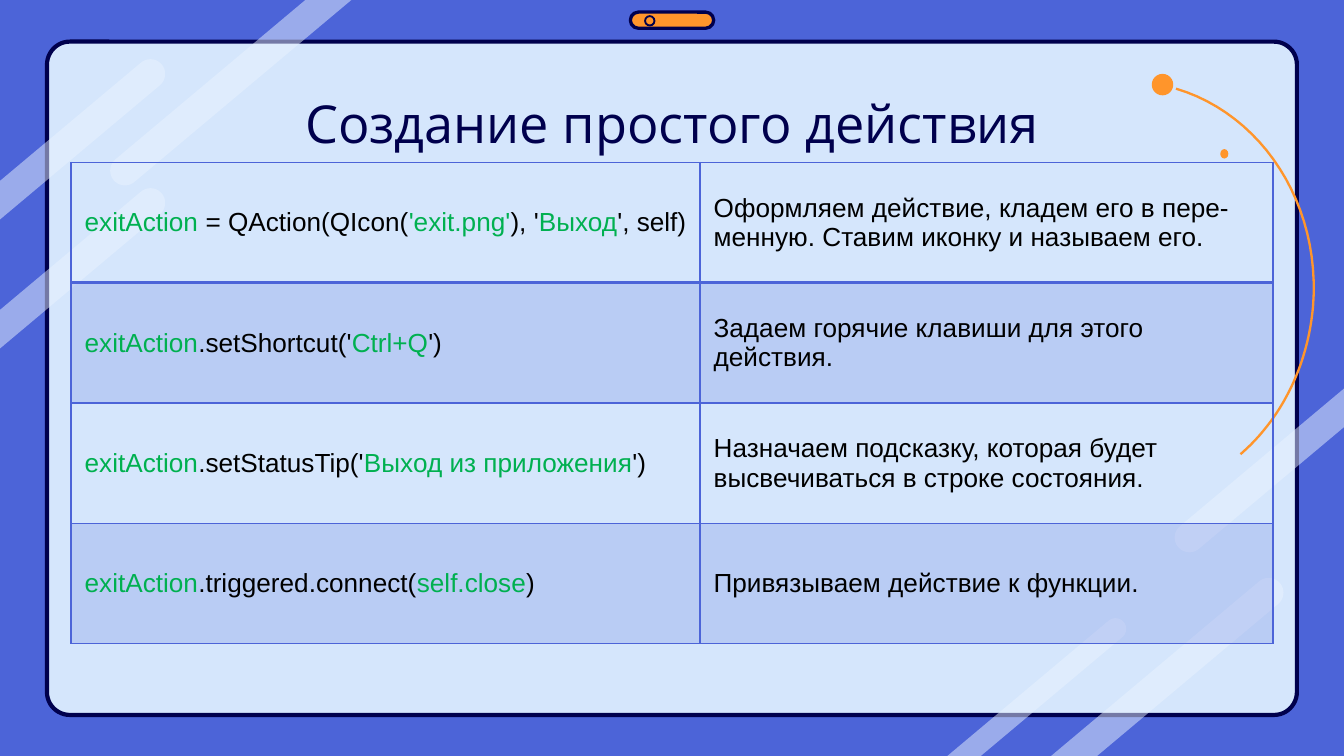
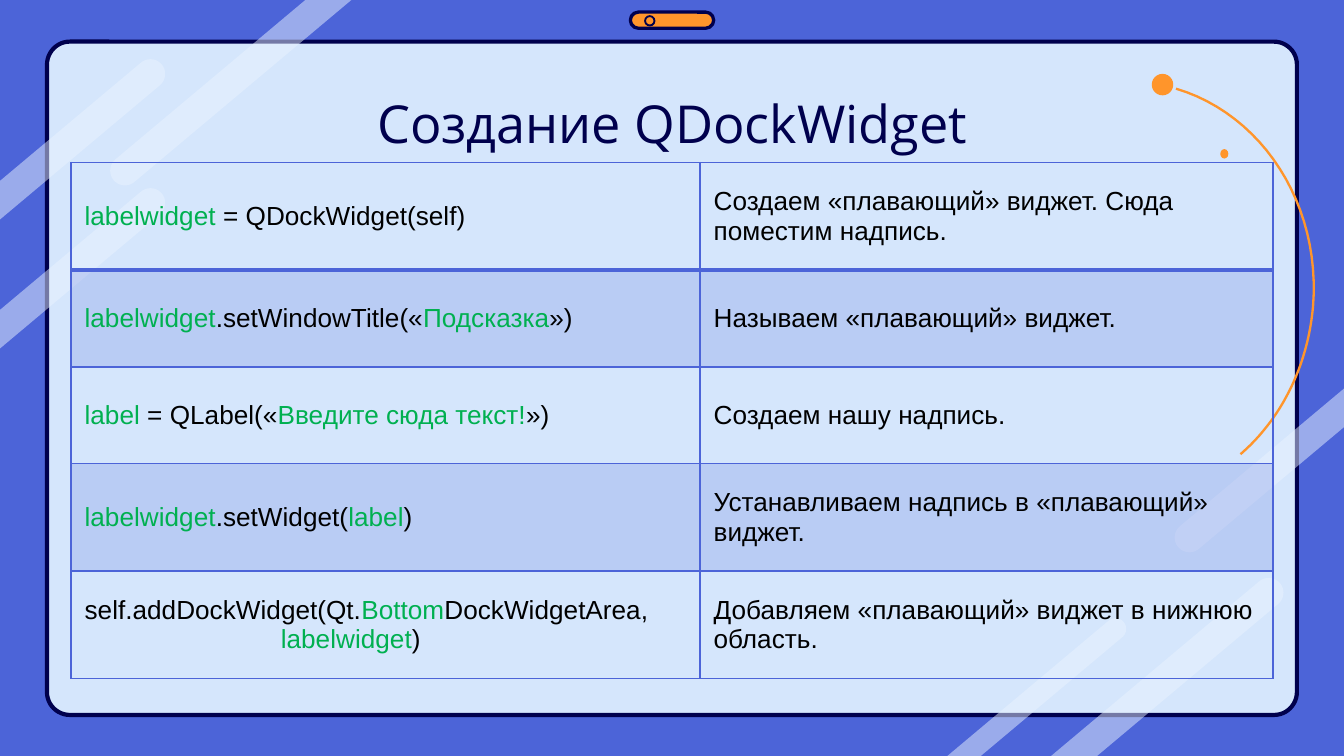
import math

import pptx
import pptx.dml.color
import pptx.enum.shapes
import pptx.enum.text
import pptx.oxml.ns
import pptx.util
from lxml import etree

EMU_PER_PX = 9144  # 100 px to the inch
COLORS = {
    "blue": "4C64D8",
    "panel": "D5E6FC",
    "navy": "00004D",
    "glare": "E9F3FF",
    "orange": "FF952B",
    "green": "00B050",
    "black": "000000",
}
TITLE_BOX = (79, 58, 842, 63)
PANEL_BOX = (35, 31, 930, 501)
TABLE_LEFT, TABLE_TOP = 53, 121
COLUMN_WIDTHS = (468, 426)
STREAK_ANGLE = 40
# Cap centre, radius, tip angle, then the slide edge where the streak ends
UP, DOWN = -STREAK_ANGLE, 180 - STREAK_ANGLE
STREAKS = [
    (944, 441, 11, UP, "y", 563),
    (830, 468, 8, UP, "y", 563),
    (93, 127, 11, DOWN, "y", 0),
    (112, 55, 11, UP, "x", 0),
    (112, 151, 11, UP, "x", 0),
    (885, 400, 11, DOWN, "x", 1000),
]
ORBIT = [
    ((875, 66), (939, 85), (983, 152), (977, 228)),
    ((977, 228), (973, 273), (953, 312), (923, 338)),
]

# Backticks enclose the highlighted parts of the code
ACTION_ROWS = [
    ("`exitAction` = QAction(QIcon(`'exit.png'`), '`Выход`', self)",
     "Оформляем действие, кладем его в пере-менную. Ставим иконку и называем его."),
    ("`exitAction`.setShortcut('`Ctrl+Q`')",
     "Задаем горячие клавиши для этого действия."),
    ("`exitAction`.setStatusTip('`Выход из приложения`')",
     "Назначаем подсказку, которая будет высвечиваться в строке состояния."),
    ("`exitAction`.triggered.connect(`self.close`)",
     "Привязываем действие к функции."),
]
DOCK_ROWS = [
    ("`labelwidget `= QDockWidget(self)",
     "Создаем «плавающий» виджет. Сюда поместим надпись."),
    ("`labelwidget`.setWindowTitle(«`Подсказка`»)",
     "Называем «плавающий» виджет."),
    ("`label` = QLabel(«`Введите сюда текст!`»)",
     "Создаем нашу надпись."),
    ("`labelwidget`.setWidget(`label`)",
     "Устанавливаем надпись в «плавающий» виджет."),
    ("self.addDockWidget(Qt.`Bottom`DockWidgetArea,\n`labelwidget`)",
     "Добавляем «плавающий» виджет в нижнюю область."),
]


def px(length):
    return round(length * EMU_PER_PX)


def rgb(name):
    return pptx.dml.color.RGBColor.from_string(COLORS[name])


def set_alpha(properties, percent):
    """Make the first colour found in a properties element translucent."""
    color = properties.find(".//" + pptx.oxml.ns.qn("a:srgbClr"))
    etree.SubElement(color, pptx.oxml.ns.qn("a:alpha"), val=str(percent * 1000))


def paint(shape, fill=None, line=None, width=1):
    shape.shadow.inherit = False
    if fill:
        shape.fill.solid()
        shape.fill.fore_color.rgb = rgb(fill)
    else:
        shape.fill.background()
    if line:
        shape.line.color.rgb = rgb(line)
        shape.line.width = pptx.util.Pt(width)
    else:
        shape.line.fill.background()


def add_preset(slide, kind, box, **look):
    shape = slide.shapes.add_shape(kind, *map(px, box))
    paint(shape, **look)
    return shape


def add_outline(slide, points, close, **look):
    (start_x, start_y), *rest = [(px(x), px(y)) for x, y in points]
    builder = slide.shapes.build_freeform(start_x, start_y)
    builder.add_line_segments(rest, close=close)
    shape = builder.convert_to_shape()
    paint(shape, **look)
    return shape


def add_streak(slide, x, y, radius, tip, edge_axis, edge):
    """Draw a round-tipped band of light running to an edge of the slide."""
    along_x, along_y = (f(math.radians(tip)) for f in (math.cos, math.sin))
    cap = [(x + radius * math.cos(math.radians(a)), y + radius * math.sin(math.radians(a)))
           for a in range(tip - 90, tip + 91, 10)]

    def reach_edge(point):
        px_, py_ = point
        steps = (edge - px_) / along_x if edge_axis == "x" else (edge - py_) / along_y
        return px_ + steps * along_x, py_ + steps * along_y

    points = [reach_edge(cap[0]), *cap, reach_edge(cap[-1])]
    streak = add_outline(slide, points, True, fill="glare")
    set_alpha(streak.element.spPr, 50)


def curve_points(controls, steps=24):
    """Sample a cubic Bezier curve."""
    for step in range(steps + 1):
        t = step / steps
        weights = ((1 - t) ** 3, 3 * t * (1 - t) ** 2, 3 * t * t * (1 - t), t ** 3)
        yield tuple(sum(w * c for w, c in zip(weights, axis)) for axis in zip(*controls))


def add_backdrop(slide):
    kinds = pptx.enum.shapes.MSO_SHAPE
    panel = add_preset(slide, kinds.ROUNDED_RECTANGLE, PANEL_BOX,
                       fill="panel", line="navy", width=2.25)
    panel.adjustments[0] = 0.034
    for streak in STREAKS:
        add_streak(slide, *streak)
    camera = add_preset(slide, kinds.ROUNDED_RECTANGLE, (469, 9, 62, 12),
                        fill="orange", line="navy", width=1.75)
    camera.adjustments[0] = 0.5
    add_preset(slide, kinds.OVAL, (480, 12, 7, 7), line="navy")
    orbit = [point for part in ORBIT for point in curve_points(part)]
    add_outline(slide, orbit, False, line="orange", width=1.25)
    for planet in ((908, 111, 6, 7), (857, 55, 16, 16)):
        add_preset(slide, kinds.OVAL, planet, fill="orange")


def move_backdrop_to_layout(slide, layout):
    backdrop = [shape for shape in slide.shapes if not shape.is_placeholder]
    for shape_id, shape in enumerate(backdrop, start=100):
        shape.element.nvSpPr.cNvPr.set("id", str(shape_id))
        layout.shapes.element.append(shape.element)


def prepare_layout(layout):
    layout.background.fill.solid()
    layout.background.fill.fore_color.rgb = rgb("blue")


def set_title(slide, text):
    title = slide.shapes.title
    title.left, title.top, title.width, title.height = map(px, TITLE_BOX)
    frame = title.text_frame
    frame.word_wrap = True
    frame.auto_size = pptx.enum.text.MSO_AUTO_SIZE.NONE
    frame.vertical_anchor = pptx.enum.text.MSO_ANCHOR.TOP
    frame.margin_left = frame.margin_right = frame.margin_top = frame.margin_bottom = px(10)
    frame.paragraphs[0].alignment = pptx.enum.text.PP_ALIGN.CENTER
    add_run(frame.paragraphs[0], text, "Open Sans", 28, "navy")


def add_run(paragraph, text, font, size, color):
    run = paragraph.add_run()
    run.text = text
    run.font.name = font
    run.font.size = pptx.util.Pt(size)
    run.font.color.rgb = rgb(color)


def set_borders(cell, bottom):
    properties = cell._tc.get_or_add_tcPr()
    for place, (side, width) in enumerate((("L", 1), ("R", 1), ("T", 1), ("B", bottom))):
        border = etree.Element(pptx.oxml.ns.qn(f"a:ln{side}"), w=str(pptx.util.Pt(width)))
        solid = etree.SubElement(border, pptx.oxml.ns.qn("a:solidFill"))
        etree.SubElement(solid, pptx.oxml.ns.qn("a:srgbClr"), val=COLORS["blue"])
        properties.insert(place, border)


def fill_cell(cell, text, shaded, bottom):
    cell.vertical_anchor = pptx.enum.text.MSO_ANCHOR.MIDDLE
    if shaded:
        cell.fill.solid()
        cell.fill.fore_color.rgb = rgb("blue")
        set_alpha(cell._tc.get_or_add_tcPr(), 20)
    else:
        cell.fill.background()
    set_borders(cell, bottom)
    for number, line in enumerate(text.split("\n")):
        paragraph = cell.text_frame.paragraphs[0]
        if number:
            paragraph = cell.text_frame.add_paragraph()
            paragraph._p.get_or_add_pPr().set("marL", str(px(146)))
        for part, words in enumerate(line.split("`")):
            if words:
                add_run(paragraph, words, "Arial", 14, "green" if part % 2 else "black")


def add_code_table(slide, rows, height, row_shares):
    frame = slide.shapes.add_table(len(rows), len(COLUMN_WIDTHS), px(TABLE_LEFT),
                                   px(TABLE_TOP), px(sum(COLUMN_WIDTHS)), px(height))
    table = frame.table
    table.first_row = table.horz_banding = False
    for column, width in zip(table.columns, COLUMN_WIDTHS):
        column.width = px(width)
    for index, (row, share, texts) in enumerate(zip(table.rows, row_shares, rows)):
        row.height = px(height * share / sum(row_shares))
        for cell, text in zip(row.cells, texts):
            fill_cell(cell, text, shaded=index % 2 == 1, bottom=1 if index else 2)


def add_code_slide(deck, layout, title, rows, height, row_shares):
    slide = deck.slides.add_slide(layout)
    set_title(slide, title)
    add_code_table(slide, rows, height, row_shares)
    return slide


def main():
    deck = pptx.Presentation()
    deck.slide_width, deck.slide_height = px(1000), px(1000) * 9 // 16
    layout = deck.slide_layouts.get_by_name("Title Only")
    prepare_layout(layout)

    action = deck.slides.add_slide(layout)
    add_backdrop(action)
    move_backdrop_to_layout(action, layout)
    set_title(action, "Создание простого действия")
    add_code_table(action, ACTION_ROWS, 358, (1, 1, 1, 1))

    add_code_slide(deck, layout, "Создание QDockWidget", DOCK_ROWS, 384, (10, 9, 9, 10, 10))
    deck.save("out.pptx")


if __name__ == "__main__":
    main()
